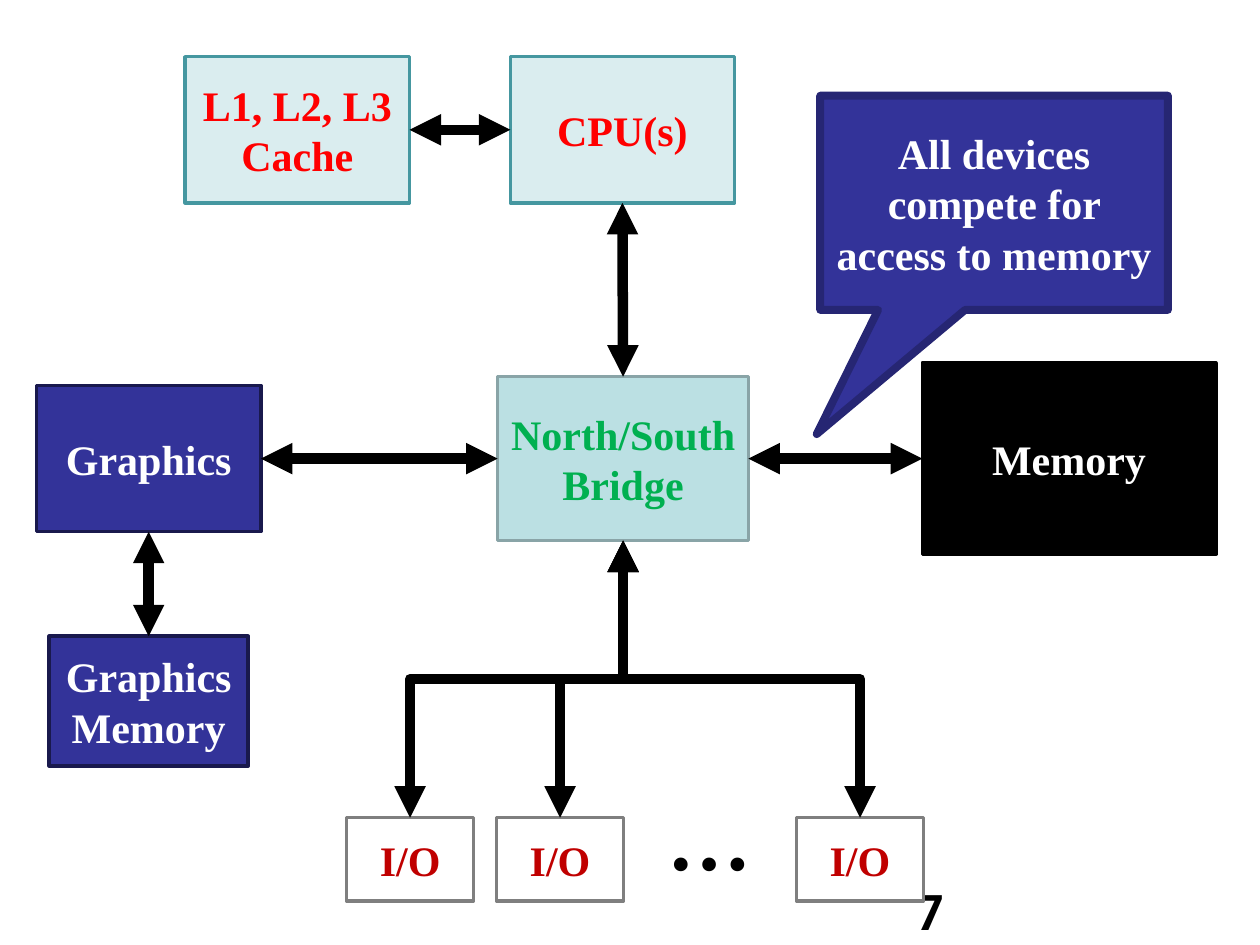
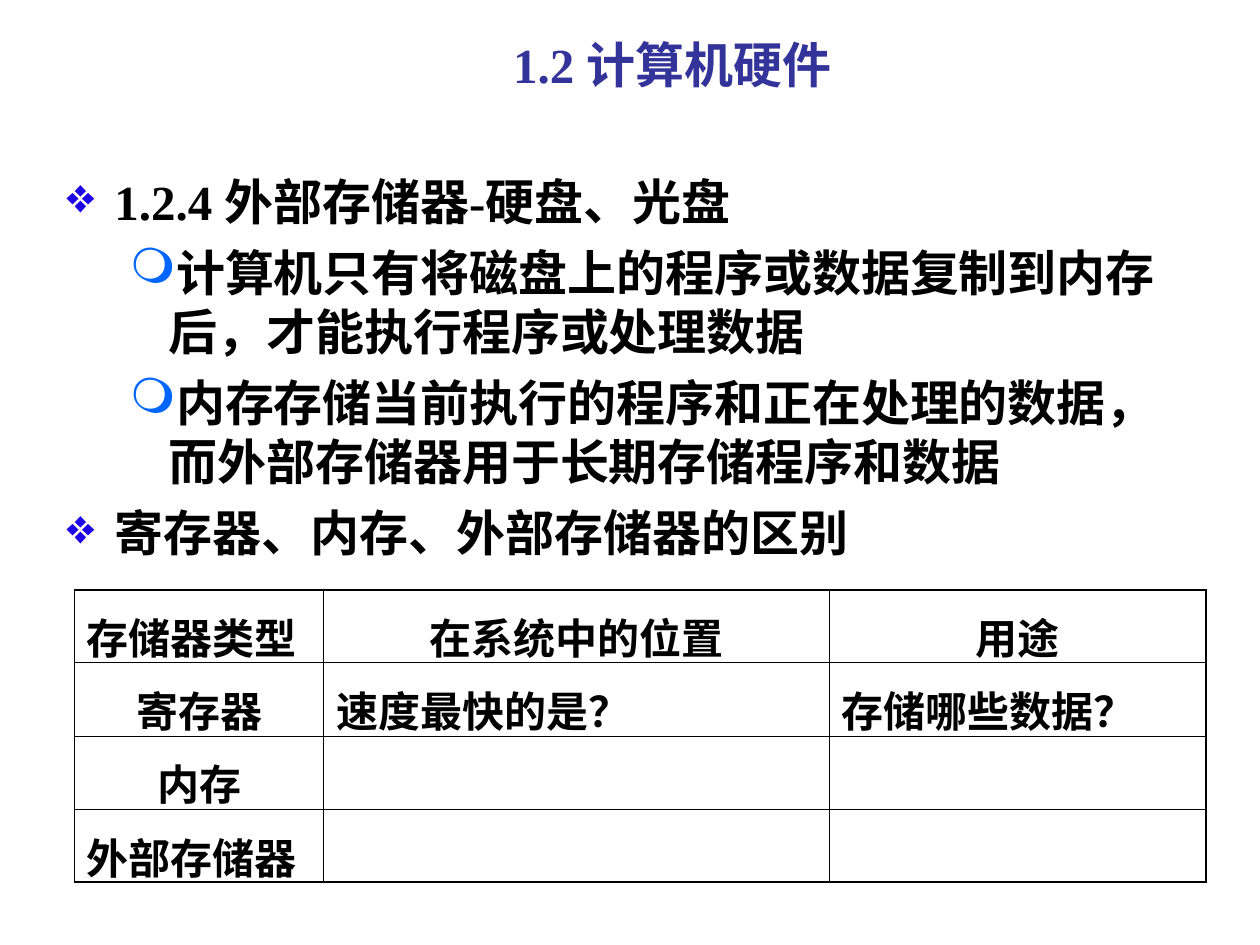
"""Build two slides on computer hardware: a bus diagram and a storage overview."""
from dataclasses import dataclass

from lxml import etree
from pptx import Presentation
from pptx.dml.color import RGBColor
from pptx.enum.shapes import MSO_CONNECTOR, MSO_SHAPE
from pptx.enum.text import MSO_ANCHOR, PP_ALIGN
from pptx.oxml.ns import qn
from pptx.shapes.autoshape import Shape
from pptx.shapes.connector import Connector
from pptx.slide import Slide
from pptx.table import _Cell
from pptx.text.text import TextFrame, _Paragraph
from pptx.util import Inches, Pt

RECTANGLE = MSO_SHAPE.RECTANGLE
CALLOUT = MSO_SHAPE.RECTANGULAR_CALLOUT
STRAIGHT, ELBOW = MSO_CONNECTOR.STRAIGHT, MSO_CONNECTOR.ELBOW
LEFT, CENTER = PP_ALIGN.LEFT, PP_ALIGN.CENTER
TOP_ANCHOR, MIDDLE = MSO_ANCHOR.TOP, MSO_ANCHOR.MIDDLE
TOP, LEFT_SIDE, BOTTOM, RIGHT_SIDE = range(4)

BLACK = RGBColor(0x00, 0x00, 0x00)
WHITE = RGBColor(0xFF, 0xFF, 0xFF)
INDIGO = RGBColor(0x33, 0x33, 0x99)
DARK_INDIGO = RGBColor(0x19, 0x19, 0x4D)
CALLOUT_EDGE = RGBColor(0x26, 0x26, 0x73)
PALE_TEAL = RGBColor(0xDA, 0xED, 0xEF)
TEAL = RGBColor(0x45, 0x97, 0xA0)
LIGHT_TEAL = RGBColor(0xBB, 0xE0, 0xE3)
GREY_TEAL = RGBColor(0x89, 0xA4, 0xA7)
GREY = RGBColor(0x7F, 0x7F, 0x7F)
RED = RGBColor(0xFF, 0x00, 0x00)
DARK_RED = RGBColor(0xC0, 0x00, 0x00)
GREEN = RGBColor(0x00, 0xB0, 0x50)
DIAMOND_BLUE = RGBColor(0x1F, 0x05, 0xE3)
CIRCLE_BLUE = RGBColor(0x00, 0x66, 0xFF)

SERIF, SANS = "Times New Roman", "Roboto"
THIN, THICK = Pt(0.45), Pt(1.08)


@dataclass(frozen=True)
class Style:
    """Fill, outline and text colours of a box."""
    fill: RGBColor
    line: RGBColor
    text: RGBColor
    line_width: float = 2


@dataclass(frozen=True)
class Device:
    """A labelled box of the diagram, in inches."""
    label: str
    left: float
    top: float
    width: float
    height: float
    style: Style


@dataclass(frozen=True)
class Link:
    """A straight double arrow between the sides of two devices."""
    begin: str
    begin_side: int
    end: str
    end_side: int


@dataclass(frozen=True)
class Bullet:
    """Bullet character, colour and indents of an outline level."""
    char: str
    color: RGBColor
    margin: float
    hanging: float


PROCESSOR = Style(PALE_TEAL, TEAL, RED)
BRIDGE = Style(LIGHT_TEAL, GREY_TEAL, GREEN)
GRAPHICS = Style(INDIGO, DARK_INDIGO, WHITE)
MEMORY = Style(BLACK, BLACK, WHITE)
PORT = Style(WHITE, GREY, DARK_RED)
NOTE = Style(INDIGO, CALLOUT_EDGE, WHITE, 4.5)

DEVICES = (
    Device("North/South Bridge", 3.95, 2.99, 1.99, 1.3, BRIDGE),
    Device("Graphics", 0.29, 3.06, 1.78, 1.16, GRAPHICS),
    Device("Graphics Memory", 0.39, 5.05, 1.58, 1.03, GRAPHICS),
    Device("Memory", 7.32, 2.88, 2.33, 1.52, MEMORY),
    Device("CPU(s)", 4.05, 0.45, 1.78, 1.16, PROCESSOR),
    Device("L1, L2, L3 Cache", 1.47, 0.45, 1.78, 1.16, PROCESSOR),
)
LINKS = (
    Link("CPU(s)", BOTTOM, "North/South Bridge", TOP),
    Link("Memory", LEFT_SIDE, "North/South Bridge", RIGHT_SIDE),
    Link("CPU(s)", LEFT_SIDE, "L1, L2, L3 Cache", RIGHT_SIDE),
    Link("North/South Bridge", LEFT_SIDE, "Graphics", RIGHT_SIDE),
    Link("Graphics Memory", TOP, "Graphics", BOTTOM),
)
PORT_LEFT, PORT_TOP, PORT_PITCH = 2.75, 6.49, 1.19
PORT_WIDTH, PORT_HEIGHT = 1.01, 0.66
PORT_SLOTS, ELLIPSIS_SLOT = (0, 1, 3), 2

DIAMOND = Bullet("❖", DIAMOND_BLUE, 0.38, 0.38)
CIRCLE = Bullet("❍", CIRCLE_BLUE, 0.81, 0.31)
OUTLINE = (
    (DIAMOND, "1.2.4 外部存储器-硬盘、光盘"),
    (CIRCLE, "计算机只有将磁盘上的程序或数据复制到内存后，才能执行程序或处理数据"),
    (CIRCLE, "内存存储当前执行的程序和正在处理的数据，而外部存储器用于长期存储程序和数据"),
    (DIAMOND, "寄存器、内存、外部存储器的区别"),
)
STORAGE_ROWS = (
    (("存储器类型", LEFT), ("在系统中的位置", CENTER), ("用途", CENTER)),
    (("寄存器", CENTER), ("速度最快的是？", LEFT), ("存储哪些数据？", LEFT)),
    (("内存", CENTER), ("", LEFT), ("", LEFT)),
    (("外部存储器", LEFT), ("", LEFT), ("", LEFT)),
)
STORAGE_WIDTHS = (1.98, 4.01, 2.99)
STORAGE_ROW_HEIGHT = 0.58


def set_font(para: _Paragraph, size: float, color: RGBColor, name: str = SERIF) -> None:
    """Apply the bold deck font to a paragraph."""
    font = para.font
    font.name, font.size, font.bold = name, Pt(size), True
    font.color.rgb = color


def write_line(frame: TextFrame, text: str, size: float, color: RGBColor,
               align: PP_ALIGN = CENTER, name: str = SERIF) -> None:
    """Write one paragraph into a text frame."""
    frame.word_wrap = True
    para = frame.paragraphs[0]
    para.text, para.alignment = text, align
    set_font(para, size, color, name)


def add_text(page: Slide, left: float, top: float, width: float, height: float,
             anchor: MSO_ANCHOR = MIDDLE) -> TextFrame:
    """Add an empty wrapping text box and return its frame."""
    box = page.shapes.add_textbox(Inches(left), Inches(top), Inches(width), Inches(height))
    frame = box.text_frame
    frame.word_wrap, frame.vertical_anchor = True, anchor
    return frame


def add_device(page: Slide, device: Device, kind: MSO_SHAPE = RECTANGLE) -> Shape:
    """Draw a labelled box."""
    box = page.shapes.add_shape(kind, Inches(device.left), Inches(device.top),
                                Inches(device.width), Inches(device.height))
    style = device.style
    box.shadow.inherit = False
    box.fill.solid()
    box.fill.fore_color.rgb = style.fill
    box.line.color.rgb = style.line
    box.line.width = Pt(style.line_width)
    box.text_frame.vertical_anchor = MIDDLE
    write_line(box.text_frame, device.label, 24, style.text)
    return box


def style_arrow(arrow: Connector) -> None:
    """Make a connector a thick black double arrow without shadow."""
    arrow.line.color.rgb = BLACK
    arrow.line.width = Pt(6)
    line = arrow.line._get_or_add_ln()
    for end in ("a:headEnd", "a:tailEnd"):
        etree.SubElement(line, qn(end), type="triangle")
    etree.SubElement(arrow._element.spPr, qn("a:effectLst"))


def add_link(page: Slide, begin: Shape, begin_side: int, end: Shape, end_side: int) -> None:
    """Join two boxes with a straight double arrow."""
    arrow = page.shapes.add_connector(STRAIGHT, 0, 0, 0, 0)
    arrow.begin_connect(begin, begin_side)
    arrow.end_connect(end, end_side)
    style_arrow(arrow)


def add_branch(page: Slide, bridge: Shape, port: Shape) -> None:
    """Draw an elbow from the bottom of the bridge down to the top of a port."""
    start_x, start_y = bridge.left + bridge.width // 2, bridge.top + bridge.height
    end_x, end_y = port.left + port.width // 2, port.top
    middle_x, middle_y = (start_x + end_x) // 2, (start_y + end_y) // 2
    half_run, half_rise = (end_y - start_y) // 2, abs(end_x - start_x) // 2
    goes_right = end_x > start_x
    reach = -half_run if goes_right else half_run
    arrow = page.shapes.add_connector(ELBOW, middle_x - reach, middle_y - half_rise,
                                      middle_x + reach, middle_y + half_rise)
    degrees = 270 if goes_right else 90
    arrow._element.spPr.find(qn("a:xfrm")).set("rot", str(degrees * 60000))
    style_arrow(arrow)


def add_bullet(para: _Paragraph, bullet: Bullet) -> None:
    """Give a paragraph a coloured bullet and a hanging indent."""
    properties = para._p.get_or_add_pPr()
    properties.set("marL", str(Inches(bullet.margin)))
    properties.set("indent", str(-Inches(bullet.hanging)))
    color = etree.SubElement(properties, qn("a:buClr"))
    etree.SubElement(color, qn("a:srgbClr"), val=str(bullet.color))
    etree.SubElement(properties, qn("a:buChar"), char=bullet.char)


def add_borders(cell: _Cell, outer_sides: dict[str, bool]) -> None:
    """Draw black cell borders, thicker on the outside of the table."""
    properties = cell._tc.get_or_add_tcPr()
    for side, is_outer in outer_sides.items():
        width = THICK if is_outer else THIN
        line = etree.SubElement(properties, qn(f"a:ln{side}"), w=str(width))
        fill = etree.SubElement(line, qn("a:solidFill"))
        etree.SubElement(fill, qn("a:srgbClr"), val=str(BLACK))


def add_storage_table(page: Slide) -> None:
    """Add the table comparing the kinds of storage."""
    row_count, column_count = len(STORAGE_ROWS), len(STORAGE_WIDTHS)
    table = page.shapes.add_table(
        row_count, column_count, Inches(0.59), Inches(4.68),
        Inches(sum(STORAGE_WIDTHS)), Inches(STORAGE_ROW_HEIGHT * row_count)).table
    table.first_row = table.horz_banding = False
    for column, width in zip(table.columns, STORAGE_WIDTHS):
        column.width = Inches(width)
    for row_index, entries in enumerate(STORAGE_ROWS):
        for column_index, (text, align) in enumerate(entries):
            cell = table.cell(row_index, column_index)
            cell.margin_top = Inches(0.13)
            write_line(cell.text_frame, text, 24, BLACK, align)
            add_borders(cell, {"L": column_index == 0, "R": column_index == column_count - 1,
                               "T": row_index == 0, "B": row_index == row_count - 1})
            cell.fill.background()


def build_diagram(page: Slide) -> None:
    """Draw the devices around the bridge and the arrows between them."""
    number = add_text(page, 7.17, 6.95, 2.33, 0.4, TOP_ANCHOR)
    write_line(number, "7", 28, BLACK, LEFT, SANS)
    boxes = {device.label: add_device(page, device) for device in DEVICES}
    ports = [add_device(page, Device("I/O", PORT_LEFT + slot * PORT_PITCH, PORT_TOP,
                                     PORT_WIDTH, PORT_HEIGHT, PORT)) for slot in PORT_SLOTS]
    ellipsis = add_text(page, PORT_LEFT + ELLIPSIS_SLOT * PORT_PITCH, 6.31,
                        PORT_WIDTH, PORT_HEIGHT)
    write_line(ellipsis, "…", 48, BLACK)
    for link in LINKS:
        add_link(page, boxes[link.begin], link.begin_side, boxes[link.end], link.end_side)
    for port in ports:
        add_branch(page, boxes["North/South Bridge"], port)
    note = add_device(page, Device("All devices compete for access to memory",
                                   6.51, 0.76, 2.76, 1.7, NOTE), CALLOUT)
    note.adjustments[0], note.adjustments[1] = -0.51, 1.08


def build_storage(page: Slide) -> None:
    """Write the title, the outline and the storage table."""
    write_line(add_text(page, 0.67, 0.21, 9.33, 0.6), "1.2 计算机硬件", 28, INDIGO)
    frame = add_text(page, 0.43, 1.31, 8.98, 5.35, TOP_ANCHOR)
    for index, (bullet, text) in enumerate(OUTLINE):
        para = frame.add_paragraph() if index else frame.paragraphs[0]
        para.text = text
        add_bullet(para, bullet)
        if index:
            para.space_before = Pt(7)
        set_font(para, 28, BLACK)
    add_storage_table(page)


def main() -> None:
    """Build and save the deck."""
    deck = Presentation()
    deck.slide_width, deck.slide_height = Inches(10), Inches(7.5)
    for build in (build_diagram, build_storage):
        build(deck.slides.add_slide(deck.slide_layouts[6]))
    deck.save("out.pptx")


if __name__ == "__main__":
    main()
